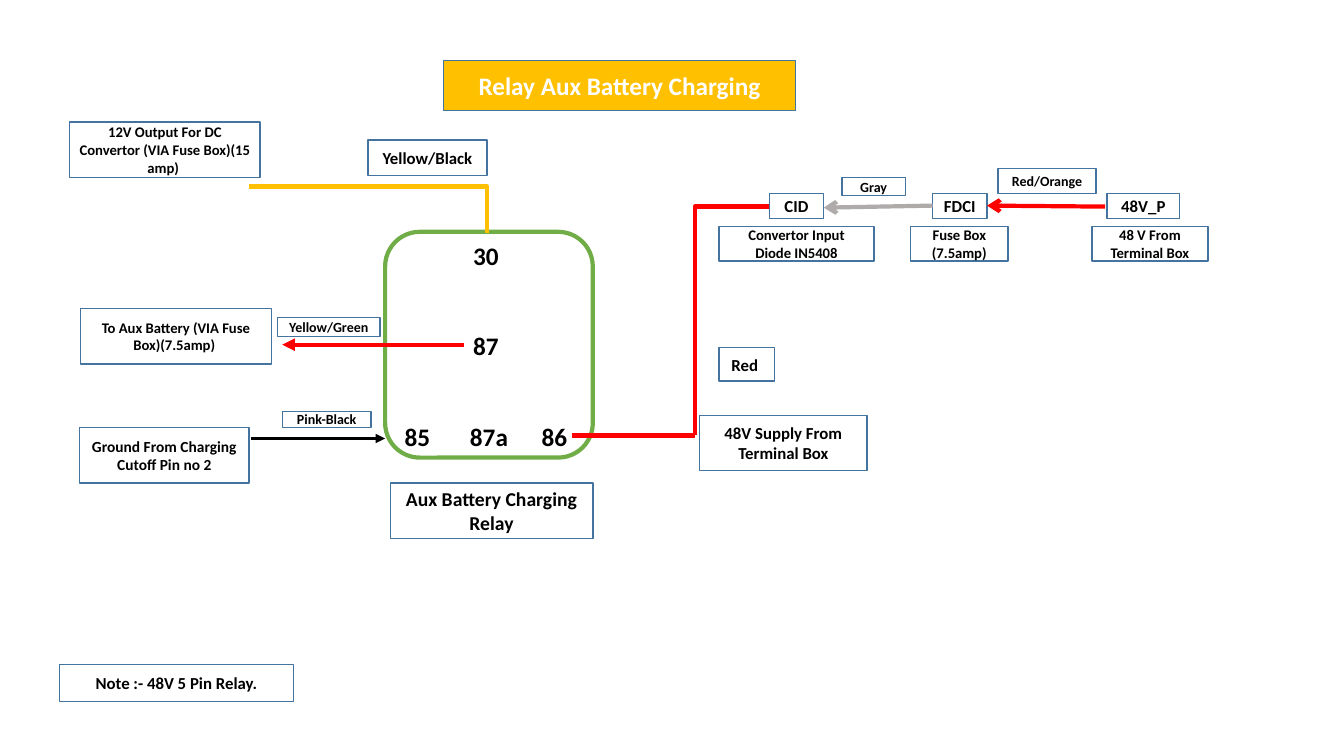
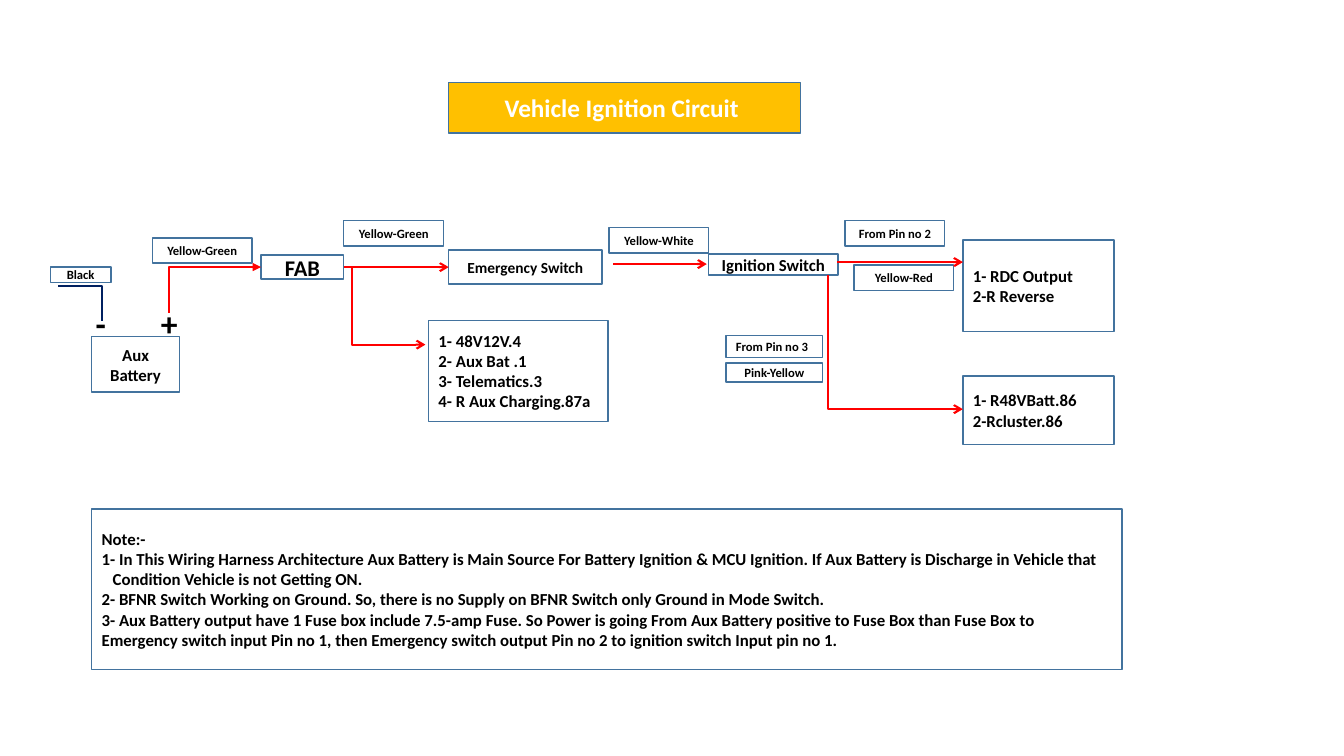
import dataclasses

import lxml.etree
import pptx
import pptx.dml.color
import pptx.enum.shapes
import pptx.enum.text
import pptx.oxml.ns
import pptx.util

Inches = pptx.util.Inches
Shapes = pptx.enum.shapes.MSO_SHAPE
Align = pptx.enum.text.PP_ALIGN


@dataclasses.dataclass(frozen=True)
class Theme:
    """Colours, type sizes and line widths shared by the slides."""
    font: str = "Calibri"
    black: str = "000000"
    white: str = "FFFFFF"
    border: str = "43739E"
    yellow: str = "FFC000"
    green: str = "70AD47"
    red: str = "FF0000"
    gray: str = "AFABAB"
    navy: str = "002060"
    title: float = 18
    pin: float = 18
    terminal: float = 24
    fuse: float = 16
    relay: float = 14
    body: float = 12
    component: float = 11
    detail: float = 10.5
    wire_label: float = 10
    small_label: float = 9
    border_width: float = 1
    thin_wire: float = 1.5
    ground_wire: float = 2.25
    thick_wire: float = 3


class WiringDeck:
    """Draws wiring diagrams on the current slide."""

    def __init__(self, theme):
        self.theme = theme
        self.presentation = pptx.Presentation()
        self.presentation.slide_width = Inches(13.33)
        self.presentation.slide_height = Inches(7.5)
        self.slide = None

    def color(self, value):
        return pptx.dml.color.RGBColor.from_string(value)

    def start(self, title, left, top):
        layout = self.presentation.slide_layouts[6]
        self.slide = self.presentation.slides.add_slide(layout)
        self.box(title, left, top, 3.49, 0.5, self.theme.title,
                 fill=self.theme.yellow, text_color=self.theme.white)

    def set_text(self, shape, text, size, align, color):
        frame = shape.text_frame
        frame.word_wrap = True
        frame.vertical_anchor = pptx.enum.text.MSO_ANCHOR.MIDDLE
        frame.text = text
        for paragraph in frame.paragraphs:
            paragraph.alignment = align
            paragraph.font.name = self.theme.font
            paragraph.font.size = pptx.util.Pt(size)
            paragraph.font.bold = True
            paragraph.font.color.rgb = self.color(color)

    def outline(self, kind, left, top, width, height, fill, line, line_width):
        shape = self.slide.shapes.add_shape(
            kind, Inches(left), Inches(top), Inches(width), Inches(height))
        shape.shadow.inherit = False
        shape.fill.solid()
        shape.fill.fore_color.rgb = self.color(fill)
        shape.line.color.rgb = self.color(line)
        shape.line.width = pptx.util.Pt(line_width)
        return shape

    def box(self, text, left, top, width, height, size, align=Align.CENTER,
            fill=Theme.white, text_color=Theme.black):
        shape = self.outline(Shapes.RECTANGLE, left, top, width, height, fill,
                             self.theme.border, self.theme.border_width)
        self.set_text(shape, text, size, align, text_color)
        return shape

    def relay(self, left, top, width, height):
        self.outline(Shapes.ROUNDED_RECTANGLE, left, top, width, height,
                     self.theme.white, self.theme.green, self.theme.thick_wire)

    def mark(self, text, center_x, center_y, size):
        width, height = 0.5, 0.4
        shape = self.slide.shapes.add_textbox(
            Inches(center_x - width / 2), Inches(center_y - height / 2),
            Inches(width), Inches(height))
        frame = shape.text_frame
        frame.margin_left = frame.margin_right = 0
        frame.margin_top = frame.margin_bottom = 0
        self.set_text(shape, text, size, Align.CENTER, self.theme.black)

    def wire(self, start, end, color, width, arrow=None, arrow_end="tailEnd", bent=False):
        kinds = pptx.enum.shapes.MSO_CONNECTOR
        connector = self.slide.shapes.add_connector(
            kinds.ELBOW if bent else kinds.STRAIGHT,
            *(Inches(value) for value in (*start, *end)))
        connector.line.color.rgb = self.color(color)
        connector.line.width = pptx.util.Pt(width)
        qualified = pptx.oxml.ns.qn
        properties = connector._element.spPr
        if bent:
            properties.find(qualified("a:prstGeom")).set("prst", "bentConnector2")
        if arrow:
            lxml.etree.SubElement(connector.get_or_add_ln(), qualified(f"a:{arrow_end}"), type=arrow)
        lxml.etree.SubElement(properties, qualified("a:effectLst"))


def draw_relay(deck):
    """Draw the auxiliary battery charging relay."""
    theme = deck.theme
    deck.start("Relay Aux Battery Charging", 4.4, 0.6)
    deck.relay(3.82, 2.3, 2.06, 2.24)
    for pin, x, y in (("30", 4.82, 2.53), ("87", 4.82, 3.43), ("85", 4.14, 4.33),
                      ("87a", 4.85, 4.33), ("86", 5.5, 4.33)):
        deck.mark(pin, x, y, theme.pin)

    for text, left, top, width, height, size in (
            ("Note :- 48V 5 Pin Relay.", 0.59, 6.59, 2.32, 0.37, theme.body),
            ("Ground From Charging Cutoff Pin no 2", 0.79, 4.24, 1.68, 0.55, theme.component),
            ("Aux Battery Charging Relay", 3.87, 4.79, 2.01, 0.55, theme.relay),
            ("To Aux Battery (VIA Fuse Box)(7.5amp) ", 0.8, 3.06, 1.89, 0.55, theme.detail),
            ("12V Output For DC Convertor (VIA Fuse Box)(15 amp) ", 0.69, 1.21, 1.89, 0.55, theme.detail),
            ("48V Supply From Terminal Box", 6.94, 4.12, 1.66, 0.55, theme.body),
            ("Red ", 7.13, 3.45, 0.55, 0.33, theme.body),
            ("Yellow/Black", 3.65, 1.39, 1.18, 0.35, theme.body),
            ("Pink-Black", 2.8, 4.08, 0.88, 0.16, theme.wire_label),
            ("Yellow/Green", 2.75, 3.15, 1.02, 0.19, theme.wire_label),
            ("Red/Orange", 9.9, 1.67, 0.97, 0.25, theme.wire_label),
            ("Gray", 8.35, 1.76, 0.63, 0.18, theme.wire_label)):
        deck.box(text, left, top, width, height, size)

    for name, left, width, detail, detail_left, detail_width in (
            ("CID", 7.63, 0.54, "Convertor Input Diode IN5408", 7.13, 1.54),
            ("FDCI", 9.25, 0.54, "Fuse Box (7.5amp)", 9.03, 0.97),
            ("48V_P", 10.98, 0.72, "48 V From Terminal Box", 10.83, 1.15)):
        deck.box(name, left, 1.92, width, 0.25, theme.body)
        deck.box(detail, detail_left, 2.25, detail_width, 0.34, theme.detail)

    thick = theme.thick_wire
    deck.wire((2.47, 1.85), (4.83, 2.31), theme.yellow, thick, bent=True)
    deck.wire((4.6, 3.42), (2.8, 3.42), theme.red, thick, "triangle")
    deck.wire((2.49, 4.35), (3.82, 4.35), theme.black, theme.ground_wire, "triangle")
    deck.wire((5.67, 4.32), (6.89, 4.32), theme.red, thick)
    deck.wire((7.63, 2.05), (6.89, 4.32), theme.red, thick, bent=True)
    deck.wire((9.25, 2.04), (8.17, 2.06), theme.gray, thick, "arrow")
    deck.wire((10.96, 2.05), (9.79, 2.04), theme.red, thick, "arrow")


def draw_ignition(deck):
    """Draw the vehicle ignition circuit."""
    theme = deck.theme
    deck.start("Vehicle Ignition Circuit ", 4.45, 0.82)
    for text, left, top, width, height, size in (
            ("Aux Battery", 0.91, 3.34, 0.87, 0.55, theme.body),
            ("FAB", 2.59, 2.53, 0.82, 0.24, theme.fuse),
            ("Emergency Switch", 4.45, 2.48, 1.52, 0.34, theme.component),
            ("Ignition Switch", 7.03, 2.52, 1.28, 0.21, theme.body),
            ("Black", 0.5, 2.65, 0.6, 0.15, theme.small_label),
            ("Pink-Yellow", 7.2, 3.6, 0.96, 0.19, theme.small_label)):
        deck.box(text, left, top, width, height, size)
    deck.box("From Pin no 3", 7.2, 3.33, 0.96, 0.22, theme.small_label, Align.LEFT)
    for text, left, top in (("Yellow-Green", 1.51, 2.36), ("Yellow-Green", 3.41, 2.19),
                            ("Yellow-White", 6.04, 2.26), ("From Pin no 2", 8.38, 2.19),
                            ("Yellow-Red", 8.47, 2.63)):
        deck.box(text, left, top, 0.99, 0.25, theme.small_label)

    for lines, left, top, width, height in (
            (("1- RDC Output", "2-R Reverse"), 9.55, 2.38, 1.5, 0.91),
            (("1- R48VBatt.86", "2-Rcluster.86"), 9.55, 3.73, 1.5, 0.68),
            (("1- 48V12V.4", "2- Aux Bat .1", "3- Telematics.3 ", "4- R Aux Charging.87a"),
             4.25, 3.18, 1.78, 1)):
        deck.box("\n".join(lines), left, top, width, height, theme.body, Align.LEFT)

    notes = deck.box("\n".join((
        "Note:-",
        "1- In This Wiring Harness Architecture Aux Battery is Main Source For Battery Ignition & MCU Ignition. "
        "If Aux Battery is Discharge in Vehicle that Condition Vehicle is not Getting ON.",
        "2- BFNR Switch Working on Ground. So, there is no Supply on BFNR Switch only Ground in Mode Switch.",
        "3- Aux Battery output have 1 Fuse box include 7.5-amp Fuse. So Power is going From Aux Battery positive "
        "to Fuse Box than Fuse Box to Emergency switch input Pin no 1, then Emergency switch output Pin no 2 "
        "to ignition switch Input pin no 1.")), 0.91, 5.05, 10.22, 1.59, theme.body, Align.LEFT)
    indent = Inches(0.11)
    hanging = notes.text_frame.paragraphs[1]._p.get_or_add_pPr()
    hanging.set("marL", str(indent))
    hanging.set("indent", str(-indent))

    for sign, x in (("-", 1), ("+", 1.68)):
        deck.mark(sign, x, 3.21, theme.terminal)

    thin = theme.thin_wire
    deck.wire((0.58, 2.84), (1.01, 3.18), theme.navy, thin, bent=True)
    for start, end, arrow in (((2.59, 2.65), (1.68, 3.11), "triangle"),
                              ((4.22, 3.42), (3.49, 2.66), "arrow"),
                              ((9.55, 4.06), (8.21, 2.73), "arrow")):
        deck.wire(start, end, theme.red, thin, arrow, "headEnd", bent=True)
    for left, right, y in ((3.41, 4.45, 2.65), (6.08, 7.01, 2.62), (8.3, 9.55, 2.6)):
        deck.wire((left, y), (right, y), theme.red, thin, "arrow")


def main():
    """Build and save both wiring slides."""
    deck = WiringDeck(Theme())
    draw_relay(deck)
    draw_ignition(deck)
    deck.presentation.save("out.pptx")


if __name__ == "__main__":
    main()
